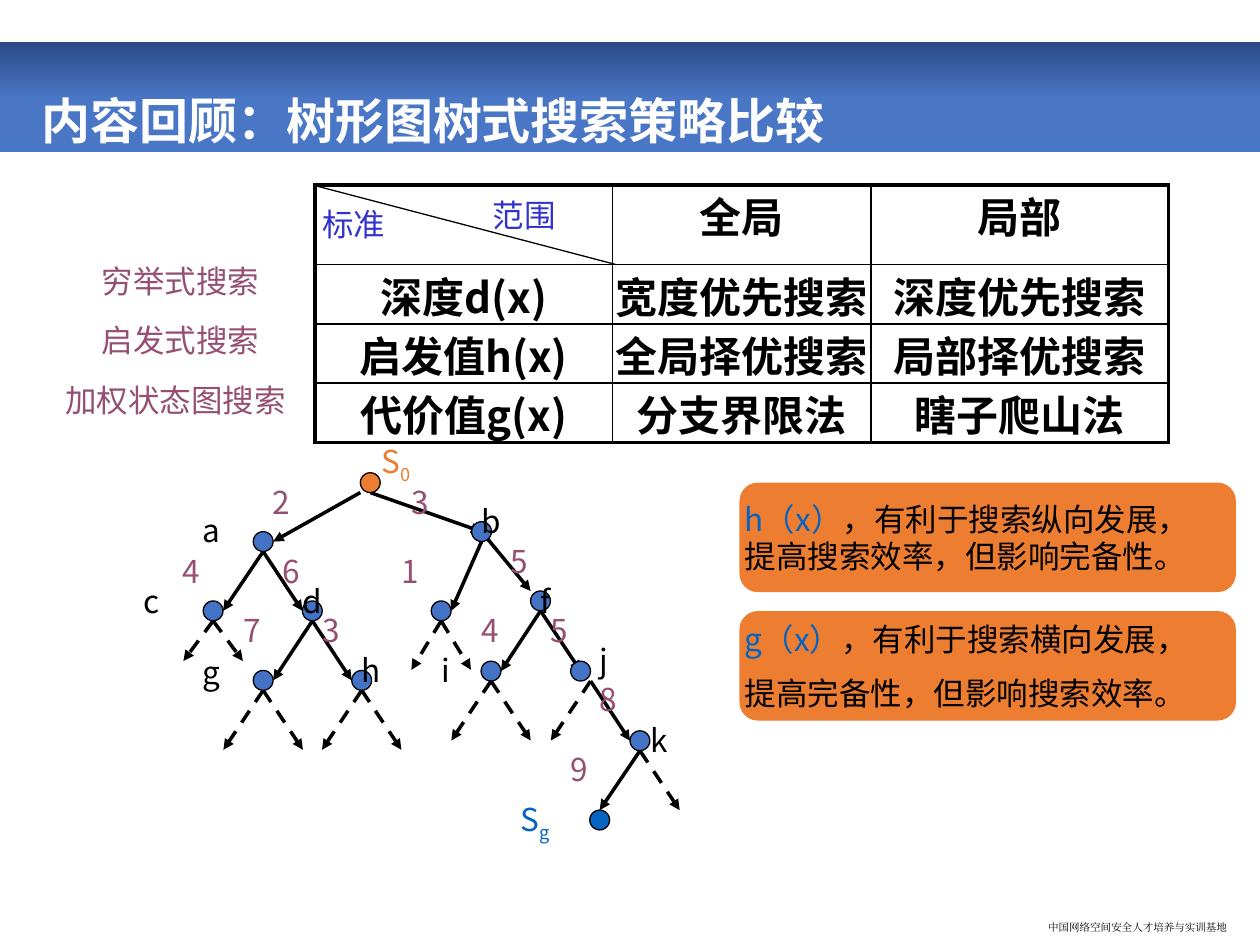
from lxml.etree import SubElement
from pptx import Presentation
from pptx.dml.color import RGBColor
from pptx.enum.dml import MSO_LINE
from pptx.enum.shapes import MSO_CONNECTOR, MSO_SHAPE
from pptx.enum.text import MSO_ANCHOR, PP_ALIGN
from pptx.oxml.ns import qn
from pptx.util import Pt

THEME = {
    "font": "Noto Sans CJK SC", "footer_font": "Times New Roman",
    "black": "000000", "white": "FFFFFF", "orange": "ED7D31", "node": "4472C4",
    "goal": "0563C1", "cost": "954F72", "header": "3333CC",
    "bar": "4A76C6", "bar_dark": "2A4B86",
    "title": 28, "table": 24, "body": 18, "footer": 6,
    "thin": 1, "thick": 2.25, "outline": 0.75, "edge": 2,
}
TITLE = "内容回顾：树形图树式搜索策略比较"
FOOTER = "中国网络空间安全人才培养与实训基地"
TABLE = [
    ["", "全局", "局部"],
    ["深度d(x)", "宽度优先搜索", "深度优先搜索"],
    ["启发值h(x)", "全局择优搜索", "局部择优搜索"],
    ["代价值g(x)", "分支界限法", "瞎子爬山法"],
]
COLS, ROWS = [170, 147.6, 170], [45.4, 33.9, 33.9, 33.9]
TABLE_X, TABLE_Y = 180, 105.8
HEADERS = [("范围", 281.5, 105.8, 84), ("标准", 184.3, 110.9, 55)]
CATEGORIES = [("穷举式搜索", 58.3, 90), ("启发式搜索", 58.3, 90), ("加权状态图搜索", 37.4, 126)]
CALLOUTS = [
    (275.8, 0, [[("h（x）", "goal"), ("，有利于搜索纵向发展，", "black")],
                [("提高搜索效率，但影响完备性。", "black")]]),
    (349.2, 9, [[("g（x）", "goal"), ("，有利于搜索横向发展，", "black")],
                [("提高完备性，但影响搜索效率。", "black")]]),
]
R = 5.67
NODES = {
    "S0": (211.6, 275.8), "a": (150.4, 309.5), "b": (275.2, 303.8),
    "c": (121.8, 349.1), "d": (178.5, 349.1), "e": (252.1, 349.1), "f": (308.9, 343.4),
    "g": (150.4, 388.8), "h": (206.7, 388.8), "i": (280.6, 383.5), "j": (331.8, 383.5),
    "k": (365.7, 423.3), "Sg": (342.7, 468.6),
}
NODE_COLORS = {"S0": "orange", "Sg": "goal"}
CENTER, TOP, BOTTOM, LEFT, RIGHT = (0, 0), (0, -1), (0, 1), (-1, 0), (1, 0)
EDGES = [
    ("S0", (-1, 1), "a", RIGHT), ("S0", BOTTOM, "b", CENTER),
    ("a", BOTTOM, "c", RIGHT), ("a", BOTTOM, "d", LEFT),
    ("b", BOTTOM, "e", RIGHT), ("b", CENTER, "f", (-1, -1)),
    ("d", BOTTOM, "g", RIGHT), ("d", BOTTOM, "h", LEFT),
    ("f", BOTTOM, "i", RIGHT), ("f", BOTTOM, "j", CENTER),
    ("j", (1, 1), "k", LEFT), ("k", BOTTOM, "Sg", TOP),
]
BRANCHES = [
    ("c", BOTTOM, 17, 23, (-1, 1)), ("e", BOTTOM, 17, 28, (-1, 1)),
    ("g", BOTTOM, 22.7, 34, (-1, 1)), ("h", BOTTOM, 22.7, 34, (-1, 1)),
    ("i", BOTTOM, 22.7, 34, (-1, 1)), ("j", (1, 1), 22.7, 34, (-1,)),
    ("k", BOTTOM, 22.7, 34, (1,)),
]
NAMES = [
    ("a", 116, 292.3), ("b", 275, 287), ("c", 82, 332.6), ("d", 172.8, 332.6),
    ("f", 308.9, 332.6), ("g", 116, 373), ("h", 206.6, 372.2), ("i", 252, 372.2),
    ("j", 342.7, 366.5), ("k", 371.5, 411.8),
]
COSTS = [
    ("2", 155.5, 275.8), ("3", 235.4, 275.8), ("4", 104.4, 315.4), ("6", 161.3, 315.4),
    ("1", 229.7, 315.4), ("5", 291.6, 309.6), ("5", 314.6, 349.2), ("4", 275, 349.2),
    ("3", 184.3, 349.2), ("7", 139, 349.2), ("8", 342.7, 388.8), ("9", 326.2, 428.4),
]
STATES = [("S", "0", 218.2, 252.7, "orange"), ("S", "g", 297.4, 457.2, "goal")]


def rgb(name):
    return RGBColor.from_string(THEME[name])


def style(r, color, size="body", bold=False, font="font"):
    r.font.size, r.font.bold, r.font.name = Pt(THEME[size]), bold, THEME[font]
    r.font.color.rgb = rgb(color)
    SubElement(r.font._element, qn("a:ea"), typeface=THEME[font])


def zero_margins(box):
    box.margin_left = box.margin_right = box.margin_top = box.margin_bottom = 0


def add_text(s, text, x, y, w, h, color, wrap=True, anchor=MSO_ANCHOR.TOP, **kw):
    tf = s.shapes.add_textbox(Pt(x), Pt(y), Pt(w), Pt(h)).text_frame
    zero_margins(tf)
    tf.word_wrap, tf.vertical_anchor = wrap, anchor
    tf.text = text
    style(tf.paragraphs[0].runs[0], color, **kw)
    return tf.paragraphs[0]


def add_shape(s, kind, x, y, w, h, color=None):
    sp = s.shapes.add_shape(kind, Pt(x), Pt(y), Pt(w), Pt(h))
    sp.shadow.inherit = False
    sp.line.fill.background()
    if color:
        sp.fill.solid()
        sp.fill.fore_color.rgb = rgb(color)
    return sp


def add_line(s, x1, y1, x2, y2, width="edge", arrow=True, dashed=False):
    c = s.shapes.add_connector(MSO_CONNECTOR.STRAIGHT, Pt(x1), Pt(y1), Pt(x2), Pt(y2))
    c.line.width = Pt(THEME[width])
    c.line.color.rgb = rgb("black")
    if dashed:
        c.line.dash_style = MSO_LINE.DASH
    if arrow:
        SubElement(c.line._get_or_add_ln(), qn("a:tailEnd"), type="triangle")
    SubElement(c._element.spPr, qn("a:effectLst"))


def site(name, offset):
    return [center + R * o for center, o in zip(NODES[name], offset)]


def set_borders(cell, outer):
    tcPr = cell._tc.get_or_add_tcPr()
    for i, (side, thick) in enumerate(outer.items()):
        width = Pt(THEME["thick" if thick else "thin"])
        ln = tcPr.makeelement(qn(f"a:ln{side}"), {"w": str(int(width))})
        SubElement(SubElement(ln, qn("a:solidFill")), qn("a:srgbClr"), val=THEME["black"])
        tcPr.insert(i, ln)


def add_table(s):
    frame = s.shapes.add_table(len(ROWS), len(COLS), Pt(TABLE_X), Pt(TABLE_Y),
                               Pt(sum(COLS)), Pt(sum(ROWS)))
    table = frame.table
    for col, w in zip(table.columns, COLS):
        col.width = Pt(w)
    for row, h in zip(table.rows, ROWS):
        row.height = Pt(h)
    for i, row in enumerate(TABLE):
        for j, text in enumerate(row):
            cell = table.cell(i, j)
            cell.fill.background()
            zero_margins(cell)
            set_borders(cell, {"L": j == 0, "R": j == len(COLS) - 1,
                               "T": i == 0, "B": i == len(ROWS) - 1})
            p = cell.text_frame.paragraphs[0]
            p.text, p.alignment = text, PP_ALIGN.CENTER
            for r in p.runs:
                style(r, "black", "table", True)
    add_line(s, TABLE_X - 1, TABLE_Y, TABLE_X + COLS[0] + 2, TABLE_Y + ROWS[0],
             "outline", arrow=False)
    for text, x, y, w in HEADERS:
        add_text(s, text, x, y, w, 34, "header", wrap=False, anchor=MSO_ANCHOR.MIDDLE)


def add_tree(s):
    for parent, start, child, end in EDGES:
        add_line(s, *site(parent, start), *site(child, end))
    for name, start, dx, dy, directions in BRANCHES:
        for direction in directions:
            x, y = site(name, start) if direction < 0 else site(name, BOTTOM)
            add_line(s, x, y, x + direction * dx, y + dy, dashed=True)
    for name in NODES:
        sp = add_shape(s, MSO_SHAPE.OVAL, *site(name, (-1, -1)), 2 * R, 2 * R,
                       NODE_COLORS.get(name, "node"))
        sp.line.color.rgb = rgb("black")
        sp.line.width = Pt(THEME["outline"])
    for color, labels in (("black", NAMES), ("cost", COSTS)):
        for text, x, y in labels:
            add_text(s, text, x, y, 34, 21.6, color)
    for text, sub, x, y, color in STATES:
        r = add_text(s, text, x, y, 34, 21.6, color).add_run()
        r.text = sub
        style(r, color)
        r.font._element.set("baseline", "-25000")


def add_callout(s, y, gap, lines):
    sp = add_shape(s, MSO_SHAPE.ROUNDED_RECTANGLE, 422.6, y, 283.7, 62.6, "orange")
    tf = sp.text_frame
    zero_margins(tf)
    tf.word_wrap, tf.vertical_anchor = False, MSO_ANCHOR.MIDDLE
    for i, runs in enumerate(lines):
        p = tf.add_paragraph() if i else tf.paragraphs[0]
        p.alignment = PP_ALIGN.LEFT
        if i:
            p.space_before = Pt(gap)
        for text, color in runs:
            r = p.add_run()
            r.text = text
            style(r, color)


def main():
    prs = Presentation()
    prs.slide_width, prs.slide_height = Pt(720), Pt(540)
    s = prs.slides.add_slide(prs.slide_layouts[6])
    bar = add_shape(s, MSO_SHAPE.RECTANGLE, 0, 24, 720, 62.8)
    bar.fill.gradient()
    bar.fill.gradient_angle = 90
    for stop, pos, color in zip(bar.fill.gradient_stops, (0.48, 1), ("bar", "bar_dark")):
        stop.position, stop.color.rgb = pos, rgb(color)
    add_text(s, FOOTER, 599, 526.3, 103, 10, "black", wrap=False,
             size="footer", font="footer_font")
    p = add_text(s, TITLE, 23.8, 37.4, 659, 48.2, "white", anchor=MSO_ANCHOR.BOTTOM,
                 size="title", bold=True)
    p.line_spacing = 0.9
    add_table(s)
    add_tree(s)
    for y, gap, lines in CALLOUTS:
        add_callout(s, y, gap, lines)
    for i, (text, x, w) in enumerate(CATEGORIES):
        add_text(s, text, x, 149.8 + 33.9 * i, w, 21.6, "cost", wrap=False)
    prs.save("out.pptx")


if __name__ == "__main__":
    main()
